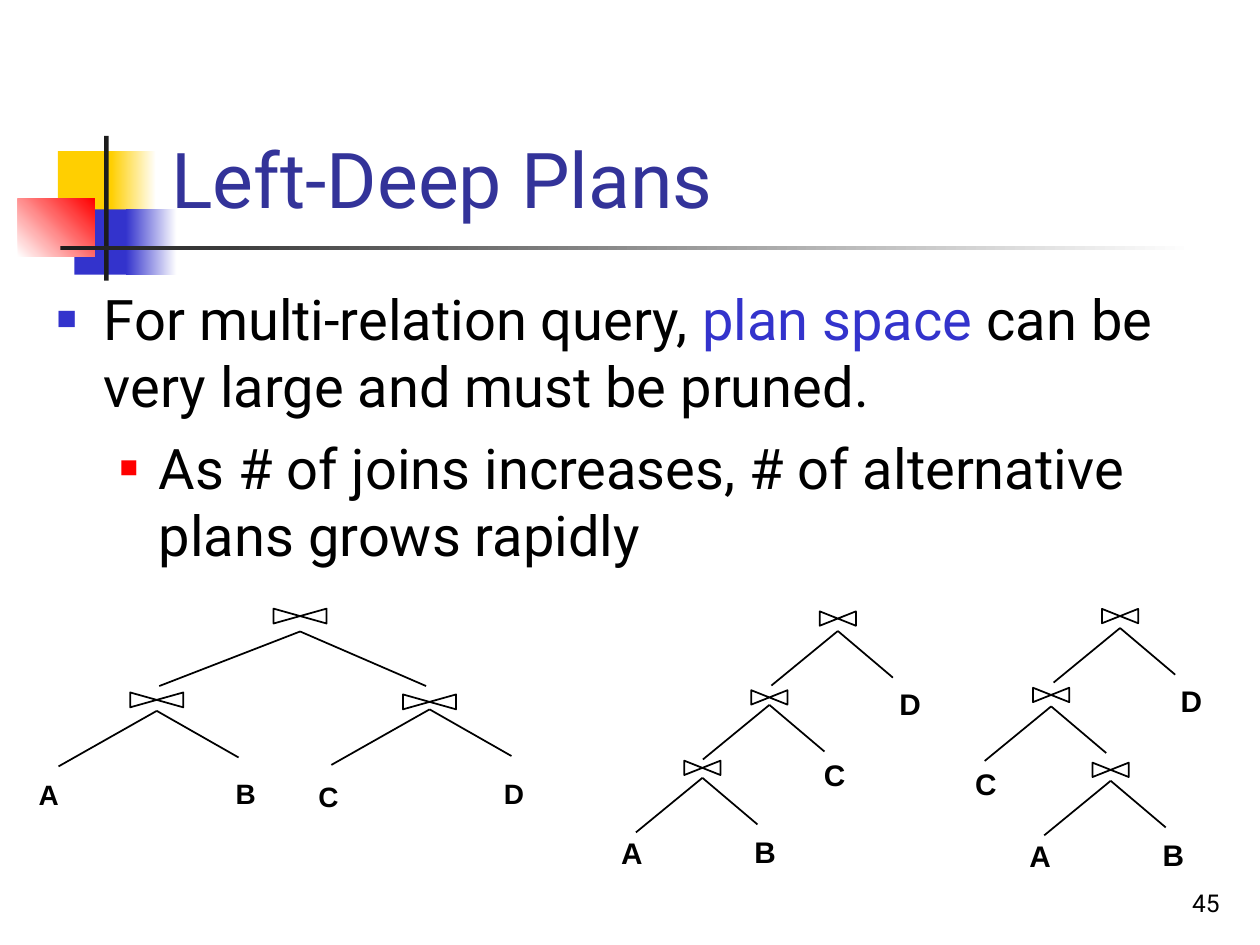
from lxml import etree
from pptx import Presentation
from pptx import util as u
from pptx.dml.color import RGBColor
from pptx.enum import shapes, text
from pptx.oxml import ns

BLACK = RGBColor(0x00, 0x00, 0x00)
WHITE = RGBColor(0xFF, 0xFF, 0xFF)
CHARCOAL = RGBColor(0x1C, 0x1C, 0x1C)
YELLOW = RGBColor(0xFF, 0xCF, 0x01)
BLUE = RGBColor(0x33, 0x33, 0xCC)
NAVY = RGBColor(0x33, 0x33, 0x99)
RED = RGBColor(0xFF, 0x00, 0x00)

# Left, top, width, height in cm; start colour, end colour, gradient angle
ORNAMENTS = [
    (1.17, 3.05, 1.22, 1.32, YELLOW, YELLOW, 0),
    (2.24, 3.05, 0.91, 1.32, YELLOW, WHITE, 0),
    (1.5, 4.22, 1.17, 1.32, BLUE, BLUE, 0),
    (2.54, 4.22, 1.02, 1.32, BLUE, WHITE, 0),
    (0.36, 4.01, 1.55, 1.17, WHITE, RED, 45),
    (2.1, 2.74, 0.09, 2.92, CHARCOAL, CHARCOAL, 0),
    (1.22, 4.95, 22.86, 0.09, CHARCOAL, WHITE, 0),
]

# Offsets in cm from the fork of a join to the ends of its two branches
NARROW = ((-1.34, 1.1), (1.11, 0.94))
WIDE = ((-1.98, 1.12), (1.65, 0.94))
ROOT = ((-2.84, 1.1), (2.54, 1.1))

# Joins: fork x, fork y, symbol centre y, branches. Relations: name, left, top.
BUSHY_TREE = {
    "symbol": (1.07, 0.3),
    "size": 16,
    "joins": [(6.05, 12.73, 12.42, ROOT), (3.16, 14.33, 14.11, WIDE),
              (8.66, 14.3, 14.15, WIDE)],
    "relations": [("A", 0.53, 15.54), ("B", 4.5, 15.52),
                  ("C", 6.17, 15.6), ("D", 9.91, 15.52)],
}
LEFT_DEEP_TREE = {
    "symbol": (0.73, 0.29),
    "size": 17,
    "joins": [(16.89, 12.72, 12.47, NARROW), (15.51, 14.21, 14.06, NARROW),
              (14.16, 15.68, 15.48, NARROW)],
    "relations": [("A", 12.27, 16.71), ("B", 14.96, 16.69),
                  ("C", 16.36, 15.14), ("D", 17.88, 13.69)],
}
ZIGZAG_TREE = {
    "symbol": (0.73, 0.29),
    "size": 17,
    "joins": [(22.58, 12.66, 12.42, NARROW), (21.19, 14.24, 14.01, NARROW),
              (22.39, 15.74, 15.52, NARROW)],
    "relations": [("A", 20.5, 16.76), ("B", 23.19, 16.74),
                  ("C", 19.41, 15.32), ("D", 23.55, 13.64)],
}


def place(shape, left, top, width, height):
    shape.left, shape.top = u.Cm(left), u.Cm(top)
    shape.width, shape.height = u.Cm(width), u.Cm(height)


def style_font(font, name, size, color, bold=False):
    font.name, font.size, font.bold = name, u.Pt(size), bold
    font.color.rgb = color


def add_ornament(slide, left, top, width, height, start, end, angle):
    shape = slide.shapes.add_shape(
        shapes.MSO_SHAPE.RECTANGLE,
        u.Cm(left), u.Cm(top), u.Cm(width), u.Cm(height))
    shape.shadow.inherit = False
    shape.line.fill.background()
    if start == end:
        shape.fill.solid()
        shape.fill.fore_color.rgb = start
        return
    shape.fill.gradient()
    shape.fill.gradient_angle = angle
    for stop, color in zip(shape.fill.gradient_stops, (start, end)):
        stop.color.rgb = color


def add_label(slide, words, box, font_name, size, bold=False):
    shape = slide.shapes.add_textbox(*(u.Cm(length) for length in box))
    shape.text_frame.text = words
    paragraph = shape.text_frame.paragraphs[0]
    style_font(paragraph.runs[0].font, font_name, size, BLACK, bold)
    return shape.text_frame


def add_join_symbol(slide, center_x, center_y, width, height):
    """Draw the bow tie of a relational join as one crossed outline."""
    left, right = u.Cm(center_x - width / 2), u.Cm(center_x + width / 2)
    top, bottom = u.Cm(center_y - height / 2), u.Cm(center_y + height / 2)
    builder = slide.shapes.build_freeform(left, top)
    builder.add_line_segments([(right, bottom), (right, top), (left, bottom)])
    bow_tie = builder.convert_to_shape()
    bow_tie.shadow.inherit = False
    bow_tie.fill.background()
    bow_tie.line.color.rgb = BLACK
    bow_tie.line.width = u.Pt(1)


def add_branch(slide, start_x, start_y, end_x, end_y):
    branch = slide.shapes.add_connector(
        shapes.MSO_CONNECTOR.STRAIGHT,
        u.Cm(start_x), u.Cm(start_y), u.Cm(end_x), u.Cm(end_y))
    branch.line.color.rgb = BLACK
    branch.line.width = u.Pt(1)
    etree.SubElement(branch._element.spPr, ns.qn("a:effectLst"))


def add_plan_tree(slide, tree):
    for x, y, symbol_y, branches in tree["joins"]:
        add_join_symbol(slide, x, symbol_y, *tree["symbol"])
        for across, down in branches:
            add_branch(slide, x, y, x + across, y + down)
    for name, left, top in tree["relations"]:
        frame = add_label(slide, name, (left, top, 0.94, 0.95),
                          "Arial", tree["size"], bold=True)
        frame.word_wrap = False


def fill_title(title):
    place(title, 3.2, 0.58, 21.64, 4.06)
    frame = title.text_frame
    frame.text = "Left-Deep Plans"
    frame.vertical_anchor = text.MSO_ANCHOR.BOTTOM
    frame.auto_size = text.MSO_AUTO_SIZE.NONE
    paragraph = frame.paragraphs[0]
    paragraph.alignment = text.PP_ALIGN.LEFT
    style_font(paragraph.runs[0].font, "Roboto", 44, NAVY)


def set_bullet(paragraph, color, percent, margin, hanging):
    properties = paragraph._p.get_or_add_pPr()
    properties.set("marL", str(u.Cm(margin)))
    properties.set("indent", str(-u.Cm(hanging)))
    bullet_color = etree.SubElement(properties, ns.qn("a:buClr"))
    etree.SubElement(bullet_color, ns.qn("a:srgbClr"), val=str(color))
    etree.SubElement(properties, ns.qn("a:buSzPct"), val=str(percent * 1000))
    etree.SubElement(properties, ns.qn("a:buChar"), char="■")


def write_runs(paragraph, pieces):
    for words, color in pieces:
        run = paragraph.add_run()
        run.text = words
        style_font(run.font, "Roboto", 32, color)


def fill_body(body):
    place(body, 0.89, 5.61, 23.98, 11.43)
    frame = body.text_frame
    frame.auto_size = text.MSO_AUTO_SIZE.NONE
    claim = frame.paragraphs[0]
    set_bullet(claim, BLUE, 60, 0.95, 0.95)
    claim.space_before = u.Pt(0)
    write_runs(claim, [("For multi-relation query, ", BLACK),
                       ("plan space ", BLUE),
                       ("can be very large and must be pruned.", BLACK)])
    reason = frame.add_paragraph()
    reason.level = 1
    set_bullet(reason, RED, 55, 2.06, 0.79)
    reason.space_before = u.Pt(8)
    write_runs(reason, [("As # of joins increases, # of alternative plans "
                         "grows rapidly", BLACK)])


def add_slide_number(slide):
    frame = add_label(slide, "45", (19.56, 17.35, 5.28, 1.27), "Roboto", 14)
    frame.word_wrap = True
    frame.vertical_anchor = text.MSO_ANCHOR.BOTTOM
    frame.paragraphs[0].alignment = text.PP_ALIGN.RIGHT


def main():
    presentation = Presentation()
    presentation.slide_width, presentation.slide_height = u.Cm(25.4), u.Cm(19.05)
    slide = presentation.slides.add_slide(presentation.slide_layouts[1])
    for ornament in ORNAMENTS:
        add_ornament(slide, *ornament)
    fill_title(slide.shapes.title)
    fill_body(slide.placeholders[1])
    for tree in (BUSHY_TREE, LEFT_DEEP_TREE, ZIGZAG_TREE):
        add_plan_tree(slide, tree)
    add_slide_number(slide)
    presentation.save("out.pptx")


if __name__ == "__main__":
    main()
